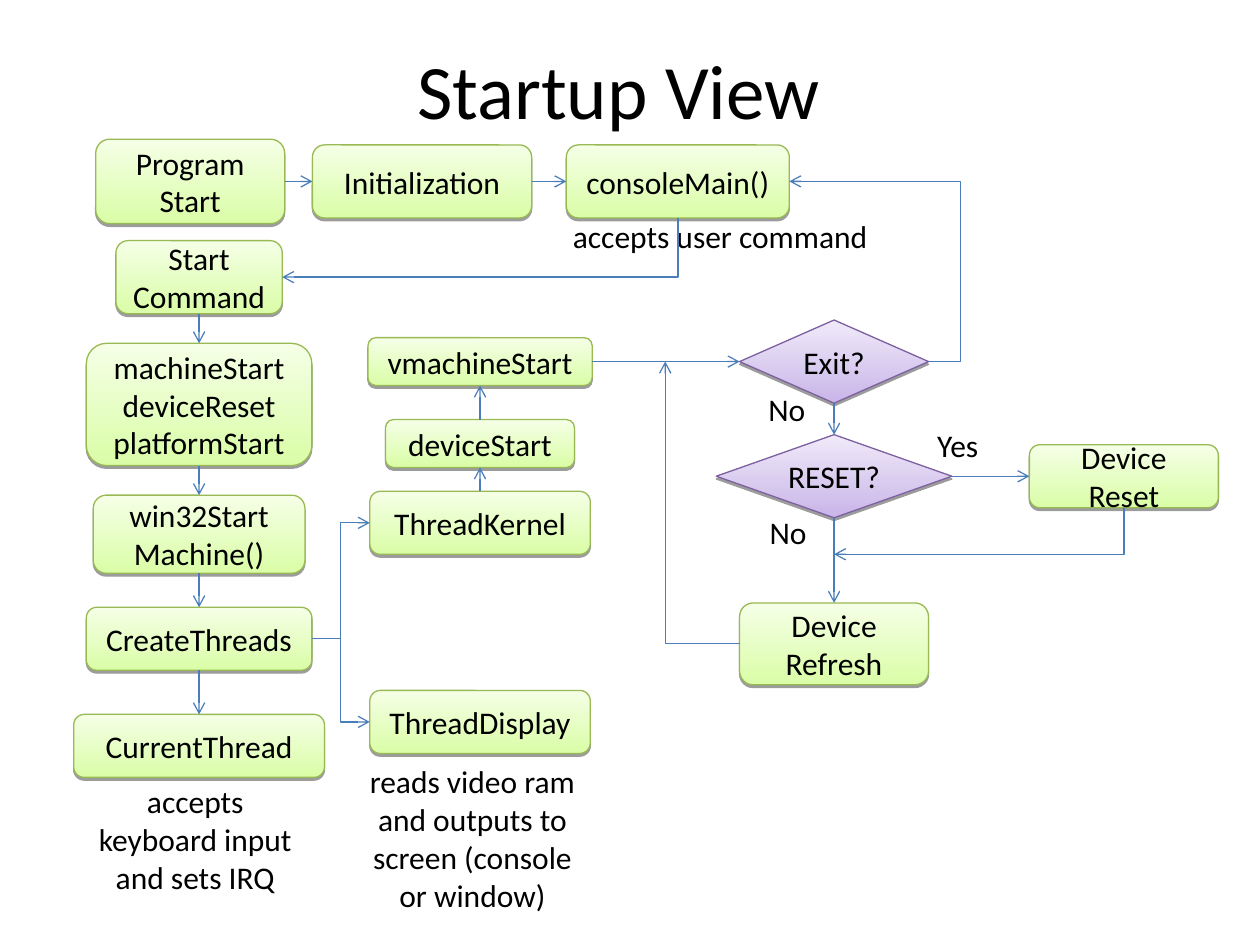
import pptx
import pptx.util
import pptx.dml.color
import pptx.enum.shapes
import pptx.enum.text
import pptx.oxml
import pptx.oxml.ns

RGB = pptx.dml.color.RGBColor
Inches, Pt = pptx.util.Inches, pptx.util.Pt
SHAPE = pptx.enum.shapes.MSO_SHAPE
LINK = pptx.enum.shapes.MSO_CONNECTOR
ALIGN = pptx.enum.text.PP_ALIGN
ANCHOR = pptx.enum.text.MSO_ANCHOR

BLACK = RGB(0x00, 0x00, 0x00)
GREEN_DARK, GREEN_LIGHT = RGB(0xDA, 0xFD, 0xA7), RGB(0xF5, 0xFF, 0xE6)
GREEN_EDGE = RGB(0x98, 0xB9, 0x54)
PURPLE_DARK, PURPLE_LIGHT = RGB(0xC9, 0xB5, 0xE8), RGB(0xF0, 0xEA, 0xF9)
PURPLE_EDGE = RGB(0x7D, 0x60, 0xA0)
BLUE = RGB(0x4A, 0x7E, 0xBB)
FONT = "Calibri"

STEP = (SHAPE.ROUNDED_RECTANGLE, GREEN_DARK, GREEN_LIGHT, GREEN_EDGE)
DECISION = (SHAPE.DIAMOND, PURPLE_DARK, PURPLE_LIGHT, PURPLE_EDGE)
TOP, LEFT, BOTTOM, RIGHT = range(4)

MACHINE_X, THREAD_X, LOOP_X, DEVICE_X = 1.58, 3.81, 6.62, 8.92
MAIN_Y, LOOP_Y, RESET_Y, MERGE_Y = 1.44, 2.87, 3.78, 4.4
RETURN_X = 5.28

# name: (lines, style, centre x, centre y, width, height)
NODES = {
    "program": (["Program Start"], STEP, 1.51, MAIN_Y, 1.5, 0.67),
    "init": (["Initialization"], STEP, 3.35, MAIN_Y, 1.74, 0.58),
    "console": (["consoleMain()"], STEP, 5.38, MAIN_Y, 1.77, 0.58),
    "start": (["Start Command"], STEP, MACHINE_X, 2.2, 1.32, 0.58),
    "machine": (["machineStart", "deviceReset", "platformStart"], STEP, MACHINE_X, 3.21, 1.79, 0.97),
    "win32": (["win32Start", "Machine()"], STEP, MACHINE_X, 4.24, 1.68, 0.62),
    "create": (["CreateThreads"], STEP, MACHINE_X, 5.07, 1.79, 0.5),
    "current": (["CurrentThread"], STEP, MACHINE_X, 5.92, 1.99, 0.5),
    "kernel": (["ThreadKernel"], STEP, THREAD_X, 4.15, 1.75, 0.5),
    "display": (["ThreadDisplay"], STEP, THREAD_X, 5.73, 1.75, 0.5),
    "device": (["deviceStart"], STEP, THREAD_X, 3.52, 1.5, 0.38),
    "vmachine": (["vmachineStart"], STEP, THREAD_X, LOOP_Y, 1.78, 0.38),
    "exit": (["Exit?"], DECISION, LOOP_X, LOOP_Y, 1.5, 0.66),
    "reset": (["RESET?"], DECISION, LOOP_X, RESET_Y, 1.87, 0.66),
    "refresh": (["Device Refresh"], STEP, LOOP_X, 5.11, 1.5, 0.65),
    "device reset": (["Device", "Reset"], STEP, DEVICE_X, RESET_Y, 1.5, 0.5),
}

# text, left, top, width, height, alignment
NOTES = [
    ("Yes", 7.34, 3.33, 0.54, 0.4, ALIGN.LEFT),
    ("No", 6.01, 4.02, 0.54, 0.4, ALIGN.LEFT),
    ("No", 6, 3.05, 0.54, 0.4, ALIGN.LEFT),
    ("accepts keyboard input and sets IRQ", 0.62, 6.16, 1.86, 1, ALIGN.CENTER),
    ("accepts user command", 4.09, 1.67, 3.25, 0.4, ALIGN.CENTER),
    ("reads video ram and outputs to screen (console or window)", 2.82, 6, 1.86, 1.3, ALIGN.CENTER),
]

ROWS = [["program", "init", "console"], ["vmachine", "exit"], ["reset", "device reset"]]
COLUMNS_DOWN = [["start", "machine", "win32", "create", "current"], ["exit", "reset", "refresh"]]
COLUMNS_UP = [["kernel", "device", "vmachine"]]

# begin, end, preset, bend position, arrow end
ELBOWS = [
    (("create", RIGHT), ("display", LEFT), "bentConnector3", 0.5, "tailEnd"),
    (("create", RIGHT), ("kernel", LEFT), "bentConnector3", 0.5, "tailEnd"),
    (("exit", RIGHT), ("console", RIGHT), "bentConnector3", -0.23, "tailEnd"),
    (("start", RIGHT), ("console", BOTTOM), "bentConnector2", None, "headEnd"),
    ((LOOP_X, MERGE_Y), ("device reset", BOTTOM), "bentConnector2", None, "headEnd"),
    (("refresh", LEFT), (RETURN_X, LOOP_Y), "bentConnector2", None, "tailEnd"),
]


def add_xml(parent, tag, inner="", attributes=""):
    namespace = pptx.oxml.ns.nsdecls("a")
    parent.append(pptx.oxml.parse_xml(f"<a:{tag} {namespace} {attributes}>{inner}</a:{tag}>"))


def write(frame, lines, size, alignment, anchor):
    frame.word_wrap = True
    frame.vertical_anchor = anchor
    frame.text = "\n".join(lines)
    for paragraph in frame.paragraphs:
        paragraph.alignment = alignment
        paragraph.font.size = Pt(size)
        paragraph.font.name = FONT
        paragraph.font.color.rgb = BLACK


def add_note(slide, text, left, top, width, height, alignment, size=18, anchor=ANCHOR.TOP):
    note = slide.shapes.add_textbox(Inches(left), Inches(top), Inches(width), Inches(height))
    write(note.text_frame, [text], size, alignment, anchor)


def add_node(slide, lines, style, x, y, width, height):
    preset, dark, light, edge = style
    node = slide.shapes.add_shape(
        preset, Inches(x - width / 2), Inches(y - height / 2), Inches(width), Inches(height))
    node.fill.gradient()
    node.fill.gradient_angle = 90
    for stop, color in zip(node.fill.gradient_stops, (dark, light)):
        stop.color.rgb = color
    node.line.color.rgb = edge
    node.line.width = Pt(0.75)
    shade = '<a:srgbClr val="000000"><a:alpha val="38000"/></a:srgbClr>'
    add_xml(node.element.spPr, "effectLst",
            f'<a:outerShdw blurRad="0" dist="20000" dir="5400000" rotWithShape="0">{shade}</a:outerShdw>')
    write(node.text_frame, lines, 18, ALIGN.CENTER, ANCHOR.MIDDLE)
    return node


def locate(end):
    if end[0] not in NODES:
        return end
    name, side = end
    x, y, width, height = NODES[name][2:]
    dx, dy = {TOP: (0, -1), LEFT: (-1, 0), BOTTOM: (0, 1), RIGHT: (1, 0)}[side]
    return x + dx * width / 2, y + dy * height / 2


def add_arrow(slide, nodes, begin, end, preset=None, bend=None, arrow="tailEnd"):
    kind = LINK.ELBOW if preset else LINK.STRAIGHT
    link = slide.shapes.add_connector(kind, *map(Inches, locate(begin) + locate(end)))
    for (name, side), connect in ((begin, link.begin_connect), (end, link.end_connect)):
        if name in nodes:
            connect(nodes[name], side)
    link.line.color.rgb = BLUE
    link.line.width = Pt(0.75)
    properties = link.element.spPr
    if preset:
        geometry = properties.find(pptx.oxml.ns.qn("a:prstGeom"))
        geometry.set("prst", preset)
        if bend is not None:
            guides = geometry.find(pptx.oxml.ns.qn("a:avLst"))
            add_xml(guides, "gd", attributes=f'name="adj1" fmla="val {round(bend * 100000)}"')
    add_xml(properties.find(pptx.oxml.ns.qn("a:ln")), arrow, attributes='type="arrow"')
    add_xml(properties, "effectLst")


def main():
    deck = pptx.Presentation()
    deck.slide_width, deck.slide_height = Inches(10), Inches(7.5)
    slide = deck.slides.add_slide(deck.slide_layouts[6])

    add_note(slide, "Startup View", 0.41, 0.08, 9, 1.25, ALIGN.CENTER, 44, ANCHOR.MIDDLE)
    nodes = {name: add_node(slide, *node) for name, node in NODES.items()}
    for note in NOTES:
        add_note(slide, *note)

    chains = ((ROWS, RIGHT, LEFT), (COLUMNS_DOWN, BOTTOM, TOP), (COLUMNS_UP, TOP, BOTTOM))
    for groups, leave, enter in chains:
        for group in groups:
            for source, target in zip(group, group[1:]):
                add_arrow(slide, nodes, (source, leave), (target, enter))
    for elbow in ELBOWS:
        add_arrow(slide, nodes, *elbow)

    deck.save("out.pptx")


if __name__ == "__main__":
    main()
